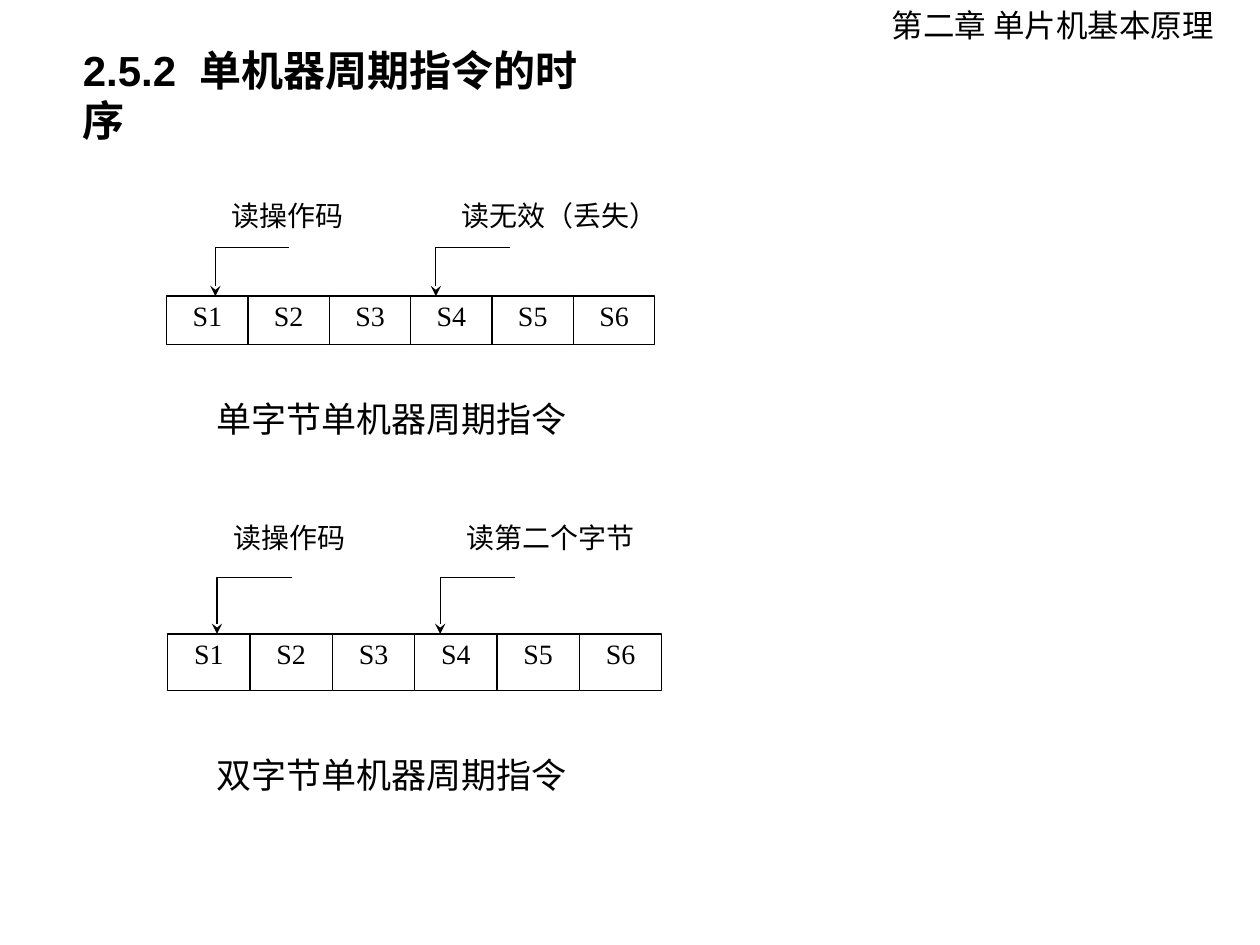
from lxml import etree
from pptx import Presentation
from pptx import util as u
from pptx.dml.color import RGBColor
from pptx.enum import shapes, text
from pptx.oxml.ns import qn

BLACK, WHITE = "000000", "FFFFFF"
CJK = "Noto Sans CJK JP"
STATES = ["S1", "S2", "S3", "S4", "S5", "S6"]
READS = [(0.6, 0.8, 1.95), (3.31, 3.63, 2.65)]
NO_MARGINS = dict.fromkeys(
    ["margin_left", "margin_right", "margin_top", "margin_bottom"], 0)
CELL_FRAME = {**NO_MARGINS, "margin_top": u.Cm(0.05), "word_wrap": True,
              "vertical_anchor": text.MSO_ANCHOR.TOP}
LABEL_FRAME = {**NO_MARGINS, "word_wrap": True}
LINE_FRAME = {"word_wrap": False, "vertical_anchor": text.MSO_ANCHOR.MIDDLE,
              "auto_size": text.MSO_AUTO_SIZE.SHAPE_TO_FIT_TEXT}
TITLE_FRAME = {**LINE_FRAME, "margin_top": u.Cm(0.48), "margin_bottom": u.Cm(0.48)}


def color(value):
    return RGBColor.from_string(value)


def apply(target, formats):
    for name, value in formats.items():
        setattr(target, name, value)


def box(left, top, width, height):
    return [u.Cm(length) for length in (left, top, width, height)]


def write(frame, wording, size, font, frame_format, align, bold=False):
    apply(frame, frame_format)
    paragraph = frame.paragraphs[0]
    paragraph.alignment = align
    run = paragraph.add_run()
    run.text = wording
    apply(run.font, {"name": font, "size": u.Pt(size), "bold": bold})
    run.font.color.rgb = color(BLACK)
    latin = run.font._element.find(qn("a:latin"))
    east_asian = etree.Element(qn("a:ea"), typeface=CJK)
    latin.addnext(east_asian)


def add_text(slide, place, wording, size, font, frame_format,
             align=text.PP_ALIGN.LEFT, bold=False):
    label = slide.shapes.add_textbox(*box(*place))
    write(label.text_frame, wording, size, font, frame_format, align, bold)


def add_state(slide, place, state):
    cell = slide.shapes.add_shape(shapes.MSO_SHAPE.RECTANGLE, *box(*place))
    cell.shadow.inherit = False
    cell.fill.solid()
    cell.fill.fore_color.rgb = color(WHITE)
    cell.line.color.rgb = color(BLACK)
    cell.line.width = u.Pt(0.75)
    write(cell.text_frame, state, 16, "Times New Roman", CELL_FRAME,
          text.PP_ALIGN.CENTER)


def add_read_arrow(slide, tip_x, tip_y, run, drop):
    ends = box(tip_x + run, tip_y - drop, tip_x, tip_y)
    arrow = slide.shapes.add_connector(shapes.MSO_CONNECTOR.ELBOW, *ends)
    arrow.line.color.rgb = color(BLACK)
    arrow.line.width = u.Pt(0.75)
    properties = arrow._element.spPr
    properties.find(qn("a:prstGeom")).set("prst", "bentConnector2")
    etree.SubElement(properties.find(qn("a:ln")), qn("a:tailEnd"), type="stealth")
    etree.SubElement(properties, qn("a:effectLst"))


def add_cycle(slide, left, top, width, height, reads, caption, caption_top):
    for index, state in enumerate(STATES):
        add_state(slide, (left + index * width, top, width, height), state)
    for (tip, start, span), read in zip(READS, reads):
        add_read_arrow(slide, left + tip * width, top, 0.91 * width, height)
        place = (left + start * width, top - 2 * height, span * width, height)
        add_text(slide, place, read, 16, "Times New Roman", LABEL_FRAME,
                 text.PP_ALIGN.JUSTIFY)
    add_text(slide, (4.11, caption_top, 7.72, 1.12), caption, 20, "Arial", LINE_FRAME)


def main():
    deck = Presentation()
    apply(deck, {"slide_width": u.Cm(25.4), "slide_height": u.Cm(19.05)})
    slide = deck.slides.add_slide(deck.slide_layouts[6])
    add_text(slide, (17.73, 0, 7.14, 1.02), "第二章 单片机基本原理", 18, CJK, LINE_FRAME)
    add_text(slide, (1.42, 0.91, 11.28, 2.01), "2.5.2  单机器周期指令的时序", 24,
             "Arial", TITLE_FRAME, bold=True)
    add_cycle(slide, 3.36, 5.97, 1.64, 0.98, ["读操作码", "读无效（丢失）"],
              "单字节单机器周期指令", 7.87)
    add_cycle(slide, 3.38, 12.78, 1.66, 1.14, ["读操作码", "读第二个字节"],
              "双字节单机器周期指令", 15.06)
    deck.save("out.pptx")


if __name__ == "__main__":
    main()
